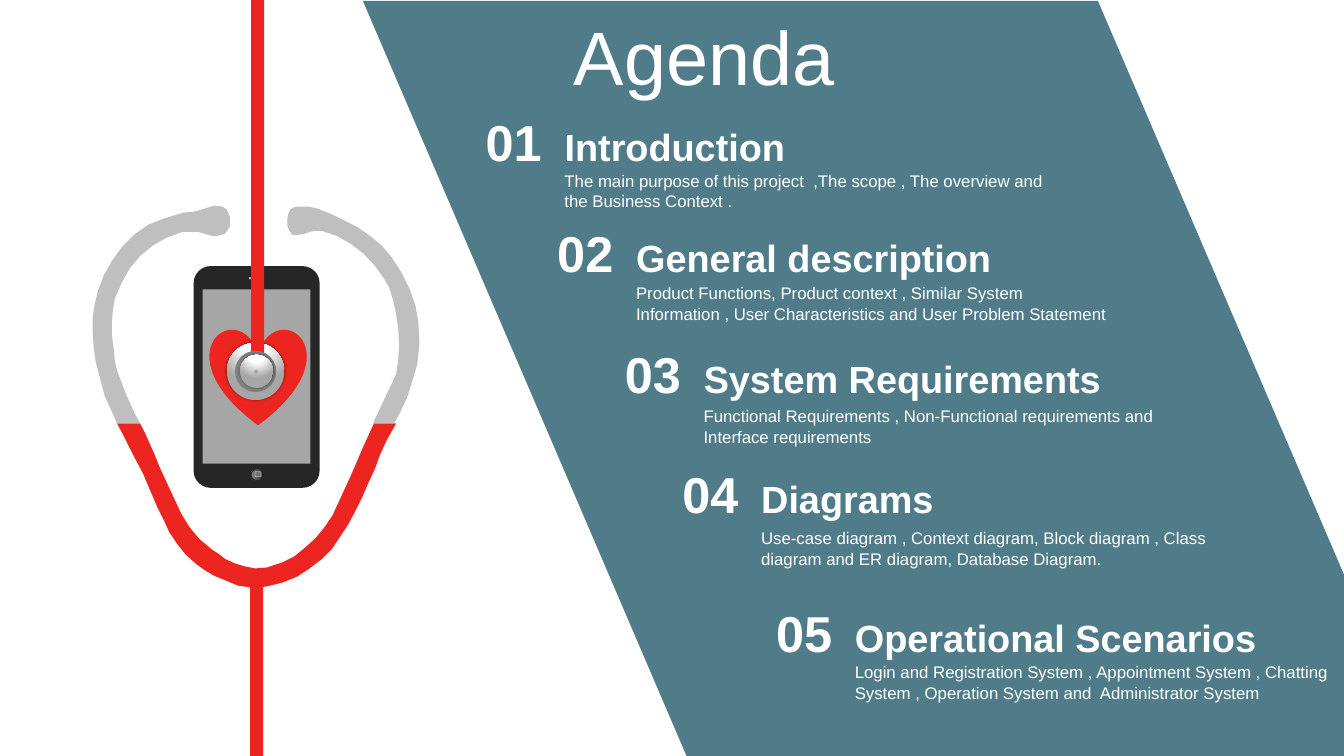
from lxml.etree import SubElement
from pptx import Presentation
from pptx.dml.color import RGBColor
from pptx.enum.shapes import MSO_SHAPE
from pptx.enum.text import MSO_ANCHOR, MSO_AUTO_SIZE, PP_ALIGN
from pptx.oxml import parse_xml
from pptx.oxml.ns import nsdecls, qn
from pptx.util import Inches, Pt

WHITE = RGBColor(0xFF, 0xFF, 0xFF)
TEAL = RGBColor(0x50, 0x7C, 0x89)
RED = RGBColor(0xED, 0x25, 0x21)
BLACK = RGBColor(0x26, 0x26, 0x26)
DARK_GREY = RGBColor(0x73, 0x73, 0x73)
RIM_GREY = RGBColor(0x80, 0x80, 0x80)
SCREEN_GREY = RGBColor(0xA6, 0xA6, 0xA6)
DETAIL_GREY = RGBColor(0xB0, 0xB0, 0xB0)
TUBE_GREY = RGBColor(0xBF, 0xBF, 0xBF)
NEAR_BLACK = RGBColor(0x0F, 0x0F, 0x0F)
MID_GREY = RGBColor(0x59, 0x59, 0x59)

METAL_STOPS = [(0, WHITE), (35, WHITE), (100, SCREEN_GREY)]
METAL_DIRECTION = (
    f'<a:path {nsdecls("a")} path="circle">'
    '<a:fillToRect l="50000" t="-80000" r="50000" b="180000"/></a:path>'
)
BUTTON_STOPS = [(0, NEAR_BLACK), (56, MID_GREY), (91, RIM_GREY), (100, TUBE_GREY)]
BUTTON_DIRECTION = f'<a:lin {nsdecls("a")} ang="10800000" scaled="0"/>'

PANEL = [(3.6, 0.01), (10.89, 0.01), (13.33, 5.7), (13.33, 7.5), (6.81, 7.5)]

LOWER_TUBE = [
    (1.16, 4.2), (1.39, 4.2), (1.44, 4.3), (1.53, 4.5), (1.59, 4.65), (1.66, 4.8),
    (1.73, 4.95), (1.8, 5.1), (1.88, 5.23), (1.98, 5.35), (2.1, 5.45), (2.16, 5.49),
    (2.24, 5.55), (2.33, 5.59), (2.43, 5.62), (2.53, 5.64), (2.65, 5.63), (2.8, 5.58),
    (2.92, 5.52), (3.03, 5.43), (3.13, 5.34), (3.22, 5.23), (3.3, 5.11), (3.36, 4.98),
    (3.42, 4.85), (3.48, 4.72), (3.54, 4.58), (3.6, 4.44), (3.71, 4.2), (3.93, 4.2),
    (3.92, 4.22), (3.84, 4.36), (3.77, 4.51), (3.72, 4.65), (3.65, 4.8), (3.59, 4.94),
    (3.52, 5.08), (3.45, 5.21), (3.37, 5.33), (3.29, 5.45), (3.19, 5.55), (3.07, 5.64),
    (2.95, 5.72), (2.8, 5.78), (2.64, 5.82), (2.5, 5.83), (2.36, 5.81), (2.24, 5.76),
    (2.12, 5.71), (2.02, 5.65), (1.94, 5.59), (1.84, 5.5), (1.76, 5.4), (1.68, 5.28),
    (1.62, 5.15), (1.56, 5.03), (1.5, 4.89), (1.42, 4.7), (1.32, 4.51), (1.22, 4.31),
]
RIGHT_EAR_TUBE = [
    (2.96, 2.05), (3.06, 2.05), (3.15, 2.07), (3.25, 2.11), (3.34, 2.15), (3.42, 2.19),
    (3.54, 2.25), (3.67, 2.34), (3.79, 2.44), (3.89, 2.56), (3.98, 2.7), (4.06, 2.86),
    (4.12, 3.03), (4.15, 3.2), (4.16, 3.4), (4.14, 3.61), (4.09, 3.78), (4.04, 3.94),
    (3.97, 4.09), (3.91, 4.2), (3.7, 4.2), (3.93, 3.71), (3.95, 3.57), (3.96, 3.42),
    (3.95, 3.26), (3.93, 3.12), (3.9, 2.98), (3.86, 2.85), (3.8, 2.75), (3.72, 2.64),
    (3.61, 2.52), (3.48, 2.42), (3.34, 2.34), (3.19, 2.29), (3.13, 2.29), (3.08, 2.3),
    (3.02, 2.32), (2.96, 2.33), (2.9, 2.33), (2.87, 2.29), (2.85, 2.24), (2.85, 2.18),
    (2.86, 2.12), (2.88, 2.08), (2.91, 2.06),
]
LEFT_EAR_TUBE = [
    (2.12, 2.04), (2.21, 2.05), (2.25, 2.08), (2.28, 2.15), (2.28, 2.25), (2.23, 2.32),
    (2.16, 2.34), (2.1, 2.34), (2.03, 2.32), (1.96, 2.3), (1.89, 2.3), (1.81, 2.3),
    (1.65, 2.36), (1.51, 2.44), (1.39, 2.54), (1.29, 2.66), (1.21, 2.8), (1.14, 2.96),
    (1.12, 3.07), (1.11, 3.2), (1.11, 3.33), (1.13, 3.47), (1.14, 3.59), (1.17, 3.7),
    (1.25, 3.91), (1.34, 4.11), (1.39, 4.2), (1.16, 4.2), (1.13, 4.13), (1.04, 3.93),
    (0.98, 3.71), (0.95, 3.59), (0.93, 3.45), (0.92, 3.3), (0.92, 3.15), (0.94, 3.02),
    (0.97, 2.89), (1.03, 2.73), (1.11, 2.59), (1.21, 2.45), (1.33, 2.33), (1.47, 2.23),
    (1.62, 2.17), (1.72, 2.14), (1.82, 2.11), (1.93, 2.1), (2.03, 2.07),
]

AGENDA = [
    ("01", "Introduction", 5.48, 1.05, 1.64, 4.98,
     "The main purpose of this project  ,The scope , The overview and the Business Context ."),
    ("02", "General description", 6.19, 2.15, 2.76, 4.91,
     "Product Functions, Product context , Similar System Information , "
     "User Characteristics and User Problem Statement"),
    ("03", "System Requirements", 6.86, 3.35, 3.98, 4.95,
     "Functional Requirements , Non-Functional requirements and Interface requirements"),
    ("04", "Diagrams", 7.43, 4.54, 5.19, 4.99,
     "Use-case diagram , Context diagram, Block diagram , Class diagram and ER diagram, "
     "Database Diagram."),
    ("05", "Operational Scenarios", 8.36, 5.92, 6.52, 4.96,
     "Login and Registration System , Appointment System , Chatting System , "
     "Operation System and  Administrator System"),
]


def write_text(shape, text, size, bold=False, align=PP_ALIGN.LEFT,
               anchor=MSO_ANCHOR.TOP, side_inset=0.1):
    frame = shape.text_frame
    frame.word_wrap = True
    frame.auto_size = MSO_AUTO_SIZE.NONE
    frame.vertical_anchor = anchor
    frame.margin_left = frame.margin_right = Inches(side_inset)
    frame.margin_top = frame.margin_bottom = Inches(0.05)
    paragraph = frame.paragraphs[0]
    paragraph.alignment = align
    run = paragraph.add_run()
    run.text = text
    run.font.name = "Arial"
    run.font.size = Pt(size)
    run.font.bold = bold
    run.font.color.rgb = WHITE


class AgendaSlide:
    def __init__(self, presentation):
        self.slide = presentation.slides.add_slide(presentation.slide_layouts[5])
        self.shapes = self.slide.shapes

    def paint(self, shape, fill, line=None, line_width=0):
        shape.shadow.inherit = False
        if fill is not None:
            shape.fill.solid()
            shape.fill.fore_color.rgb = fill
        if line is None:
            shape.line.fill.background()
        else:
            shape.line.color.rgb = line
            shape.line.width = Pt(line_width)
        return shape

    def preset(self, kind, left, top, width, height, fill=None, **line_format):
        shape = self.shapes.add_shape(
            kind, Inches(left), Inches(top), Inches(width), Inches(height))
        return self.paint(shape, fill, **line_format)

    def outline(self, fill, *contours):
        first, *others = [[(Inches(x), Inches(y)) for x, y in points] for points in contours]
        builder = self.shapes.build_freeform(*first[0])
        builder.add_line_segments(first[1:], close=True)
        for points in others:
            builder.move_to(*points[0])
            builder.add_line_segments(points[1:], close=True)
        return self.paint(builder.convert_to_shape(), fill)

    def gradient(self, shape, stops, direction):
        fill = parse_xml(f'<a:gradFill {nsdecls("a")} rotWithShape="1"><a:gsLst/></a:gradFill>')
        for position, color in stops:
            stop = SubElement(fill[0], qn("a:gs"), pos=str(position * 1000))
            SubElement(stop, qn("a:srgbClr"), val=str(color))
        fill.append(parse_xml(direction))
        shape.element.spPr.find(qn("a:prstGeom")).addnext(fill)

    def metal_disc(self, left, top, size):
        disc = self.preset(MSO_SHAPE.OVAL, left, top, size, size)
        self.gradient(disc, METAL_STOPS, METAL_DIRECTION)
        effects = disc.element.spPr.find(qn("a:effectLst"))
        shadow = SubElement(effects, qn("a:outerShdw"), blurRad=str(Pt(2)), dist="0", dir="0",
                            algn="ctr", rotWithShape="0")
        color = SubElement(shadow, qn("a:srgbClr"), val="000000")
        SubElement(color, qn("a:alpha"), val="40000")

    def text(self, text, left, top, width, height, **text_format):
        box = self.shapes.add_textbox(Inches(left), Inches(top), Inches(width), Inches(height))
        write_text(box, text, **text_format)

    def title(self, text, left, top, width, height):
        title = self.shapes.title
        title.left, title.top = Inches(left), Inches(top)
        title.width, title.height = Inches(width), Inches(height)
        write_text(title, text, size=54, anchor=MSO_ANCHOR.MIDDLE)
        title.element.getparent().append(title.element)

    def phone(self):
        body = self.preset(MSO_SHAPE.ROUNDED_RECTANGLE, 1.92, 2.64, 1.25, 2.2, BLACK)
        body.adjustments[0] = 0.136
        self.preset(MSO_SHAPE.RECTANGLE, 2.47, 2.75, 0.13, 0.02, DETAIL_GREY)
        button = self.preset(MSO_SHAPE.OVAL, 2.49, 4.65, 0.13, 0.12, line=BLACK)
        self.gradient(button, BUTTON_STOPS, BUTTON_DIRECTION)
        self.preset(MSO_SHAPE.ROUNDED_RECTANGLE, 2.53, 4.68, 0.06, 0.05, DARK_GREY,
                    line=DETAIL_GREY, line_width=0.5)
        self.preset(MSO_SHAPE.RECTANGLE, 2.01, 2.87, 1.07, 1.73, SCREEN_GREY)
        self.preset(MSO_SHAPE.HEART, 2.08, 3.26, 0.96, 0.96, RED)

    def stethoscope(self):
        self.preset(MSO_SHAPE.RECTANGLE, 2.48, 5.7, 0.13, 1.8, RED)
        self.metal_disc(2.25, 3.4, 0.57)
        self.outline(RED, LOWER_TUBE)
        self.outline(TUBE_GREY, RIGHT_EAR_TUBE, LEFT_EAR_TUBE)
        self.preset(MSO_SHAPE.RECTANGLE, 2.49, 0, 0.13, 3.58, RED)
        self.preset(MSO_SHAPE.OVAL, 2.33, 3.48, 0.41, 0.41, RIM_GREY)
        self.metal_disc(2.38, 3.52, 0.33)
        self.preset(MSO_SHAPE.OVAL, 2.52, 3.67, 0.04, 0.04, SCREEN_GREY)

    def agenda_item(self, number, heading, left, top, detail_top, width, detail):
        self.text(detail, left + 0.02, detail_top, width, 0.51, size=12)
        self.text(heading, left, top + 0.13, width, 0.57, size=27, bold=True, side_inset=0.12)
        self.text(number, left - 0.91, top, 1.05, 0.75, size=36, bold=True,
                  align=PP_ALIGN.CENTER, side_inset=0.12)


def main():
    presentation = Presentation()
    presentation.slide_width, presentation.slide_height = Inches(13.33), Inches(7.5)
    agenda = AgendaSlide(presentation)
    agenda.outline(TEAL, PANEL)
    agenda.phone()
    agenda.stethoscope()
    agenda.title("Agenda", 5.59, 0.04, 6.59, 1.01)
    for item in AGENDA:
        agenda.agenda_item(*item)
    presentation.save("out.pptx")


if __name__ == "__main__":
    main()
